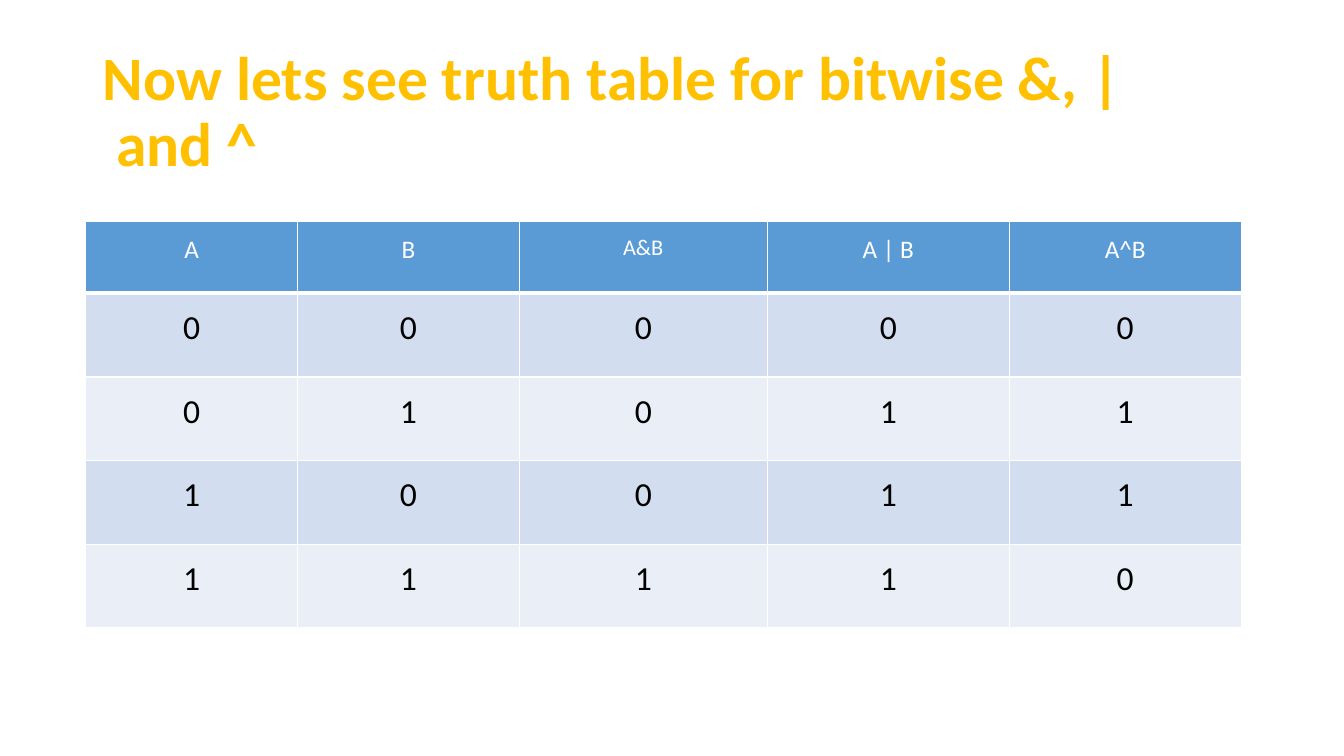
"""Build a slide with the truth table for the bitwise operators."""
from lxml import etree
from pptx import Presentation
from pptx.dml.color import RGBColor
from pptx.enum.text import MSO_ANCHOR, PP_ALIGN
from pptx.oxml.ns import qn
from pptx.util import Inches, Pt

LEFT, CENTER = PP_ALIGN.LEFT, PP_ALIGN.CENTER
MIDDLE = MSO_ANCHOR.MIDDLE

TITLE = "Now lets see truth table for bitwise\u00a0&,\u00a0|\u00a0and\u00a0^"
HEADINGS = ["A", "B", "A&B", "A | B", "A^B"]
HEADING_SIZES = [18, 18, 16, 18, 18]
TRUTH_ROWS = [
    [0, 0, 0, 0, 0],
    [0, 1, 0, 1, 1],
    [1, 0, 0, 1, 1],
    [1, 1, 1, 1, 0],
]
COLUMN_WIDTHS = [2.1, 2.2, 2.46, 2.4, 2.3]
HEADING_HEIGHT, ROW_HEIGHT = 0.71, 0.83
CELL_MARGIN = Inches(0.08)
GOLD, BLUE, WHITE, BLACK = "FFC000", "5B9BD5", "FFFFFF", "000000"
BANDS = ["D2DEEF", "EAEFF7"]


def color(value):
    return RGBColor.from_string(value)


def write(frame, text, size, fill, bold=False, align=LEFT, spacing=1, before=0, after=0):
    paragraph = frame.paragraphs[0]
    paragraph.alignment = align
    paragraph.line_spacing = spacing
    paragraph.space_before, paragraph.space_after = Pt(before), Pt(after)
    run = paragraph.add_run()
    run.text = text
    run.font.name, run.font.size, run.font.bold = "Calibri", Pt(size), bold
    run.font.color.rgb = color(fill)


def add_borders(cell, bottom):
    properties = cell._tc.get_or_add_tcPr()
    for side, width in (("L", 1), ("R", 1), ("T", 1), ("B", bottom)):
        line = etree.SubElement(properties, qn("a:ln" + side), w=str(Pt(width)))
        solid = etree.SubElement(line, qn("a:solidFill"))
        etree.SubElement(solid, qn("a:srgbClr"), val=WHITE)


def fill_cell(cell, text, size, text_color, background, bottom=1):
    cell.margin_left = cell.margin_right = CELL_MARGIN
    cell.margin_top = cell.margin_bottom = CELL_MARGIN
    add_borders(cell, bottom)
    cell.fill.solid()
    cell.fill.fore_color.rgb = color(background)
    write(cell.text_frame, text, size, text_color,
          align=CENTER, spacing=1.15, before=11.2, after=15)


presentation = Presentation()
presentation.slide_width, presentation.slide_height = Inches(13.33), Inches(7.5)
slide = presentation.slides.add_slide(presentation.slide_layouts[6])

title = slide.shapes.add_textbox(Inches(0.92), Inches(0.4), Inches(11.5), Inches(1.45))
title.text_frame.word_wrap = True
title.text_frame.vertical_anchor = MIDDLE
write(title.text_frame, TITLE, 44, GOLD, bold=True, spacing=0.9)

row_heights = [HEADING_HEIGHT] + [ROW_HEIGHT] * len(TRUTH_ROWS)
table = slide.shapes.add_table(
    len(row_heights), len(COLUMN_WIDTHS), Inches(0.85), Inches(2.2),
    Inches(sum(COLUMN_WIDTHS)), Inches(sum(row_heights))).table
for column, width in zip(table.columns, COLUMN_WIDTHS):
    column.width = Inches(width)
for row, height in zip(table.rows, row_heights):
    row.height = Inches(height)

for column, (heading, size) in enumerate(zip(HEADINGS, HEADING_SIZES)):
    fill_cell(table.cell(0, column), heading, size, WHITE, BLUE, bottom=3)
for row, values in enumerate(TRUTH_ROWS):
    for column, value in enumerate(values):
        fill_cell(table.cell(row + 1, column), str(value), 24, BLACK, BANDS[row % 2])

presentation.save("out.pptx")
